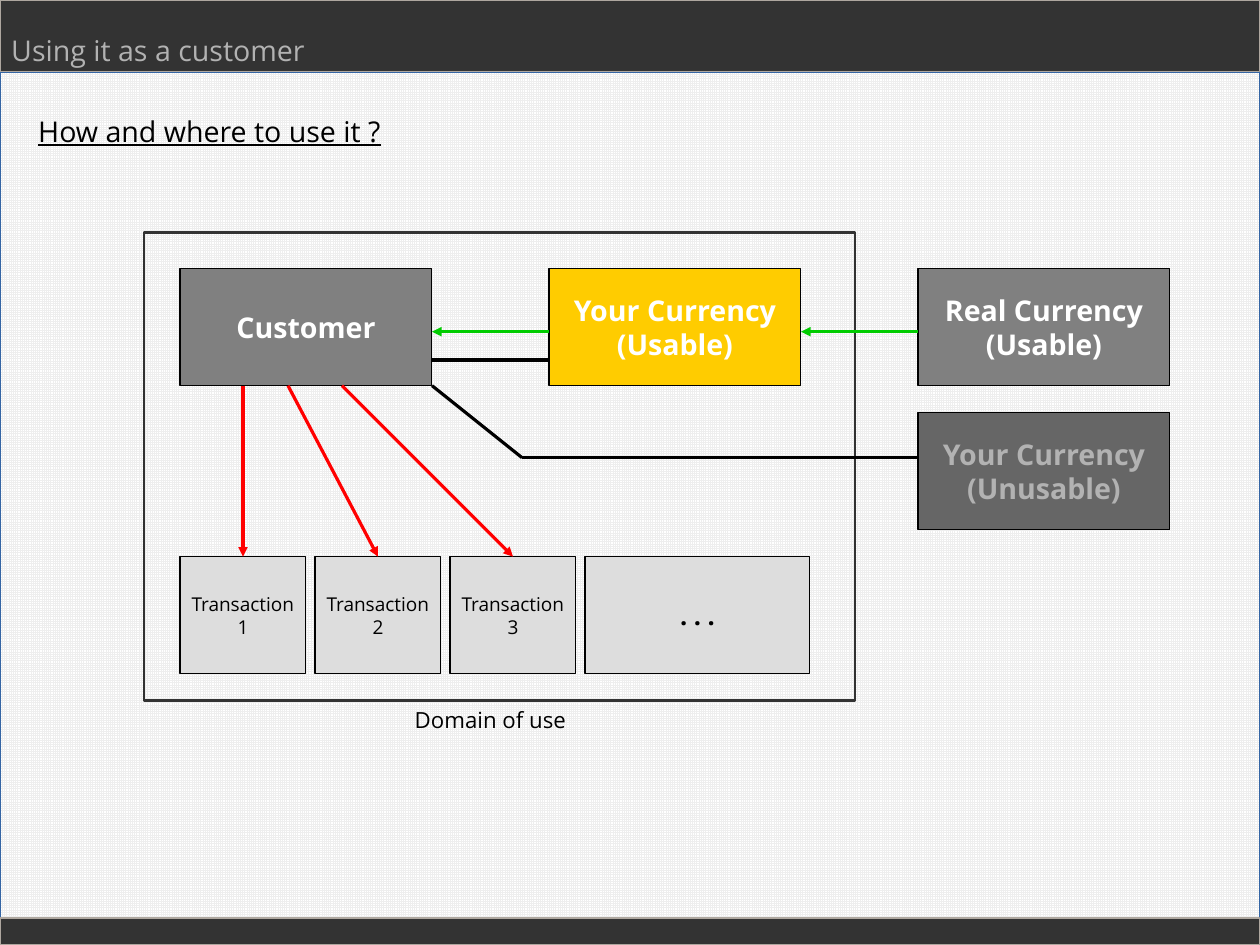
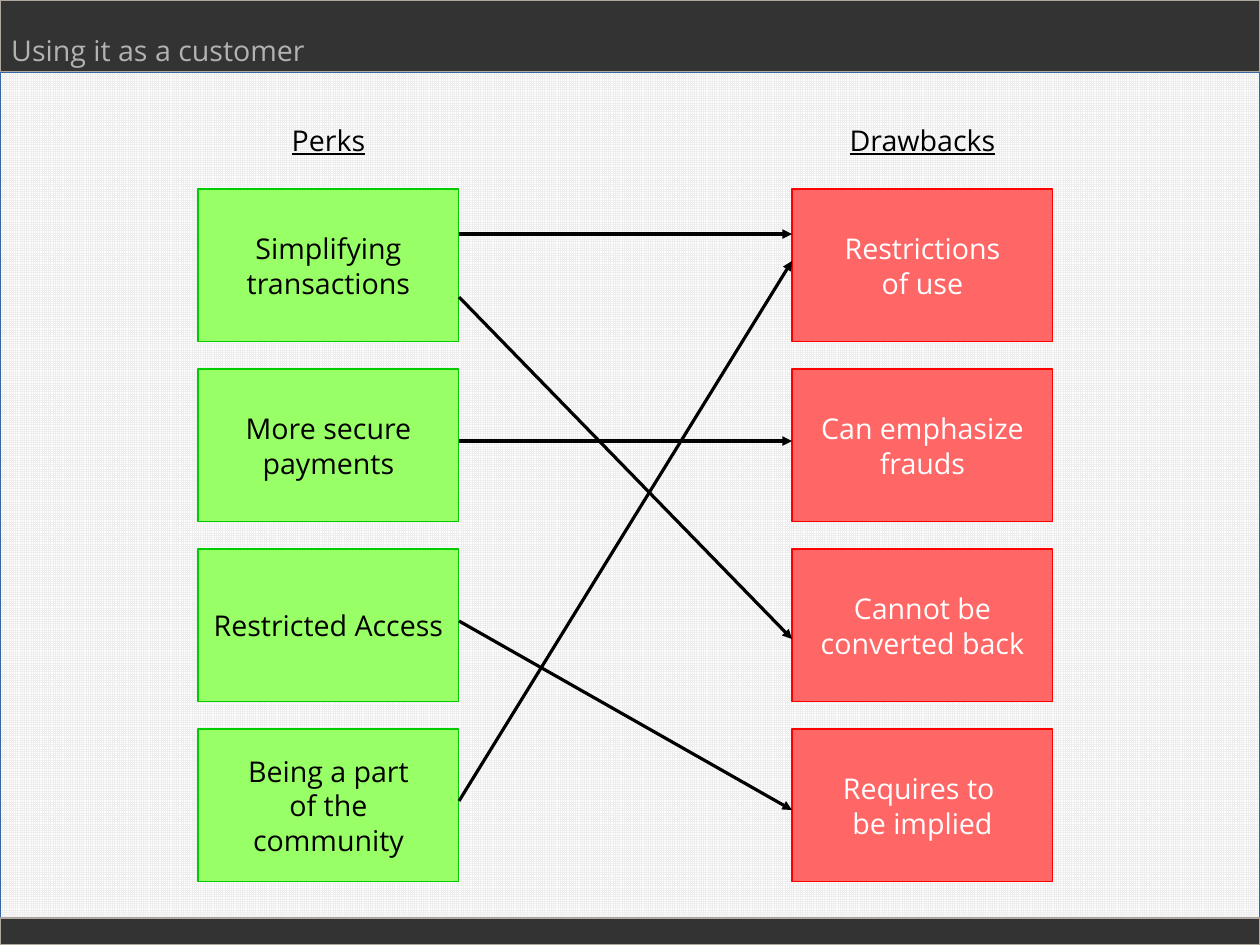
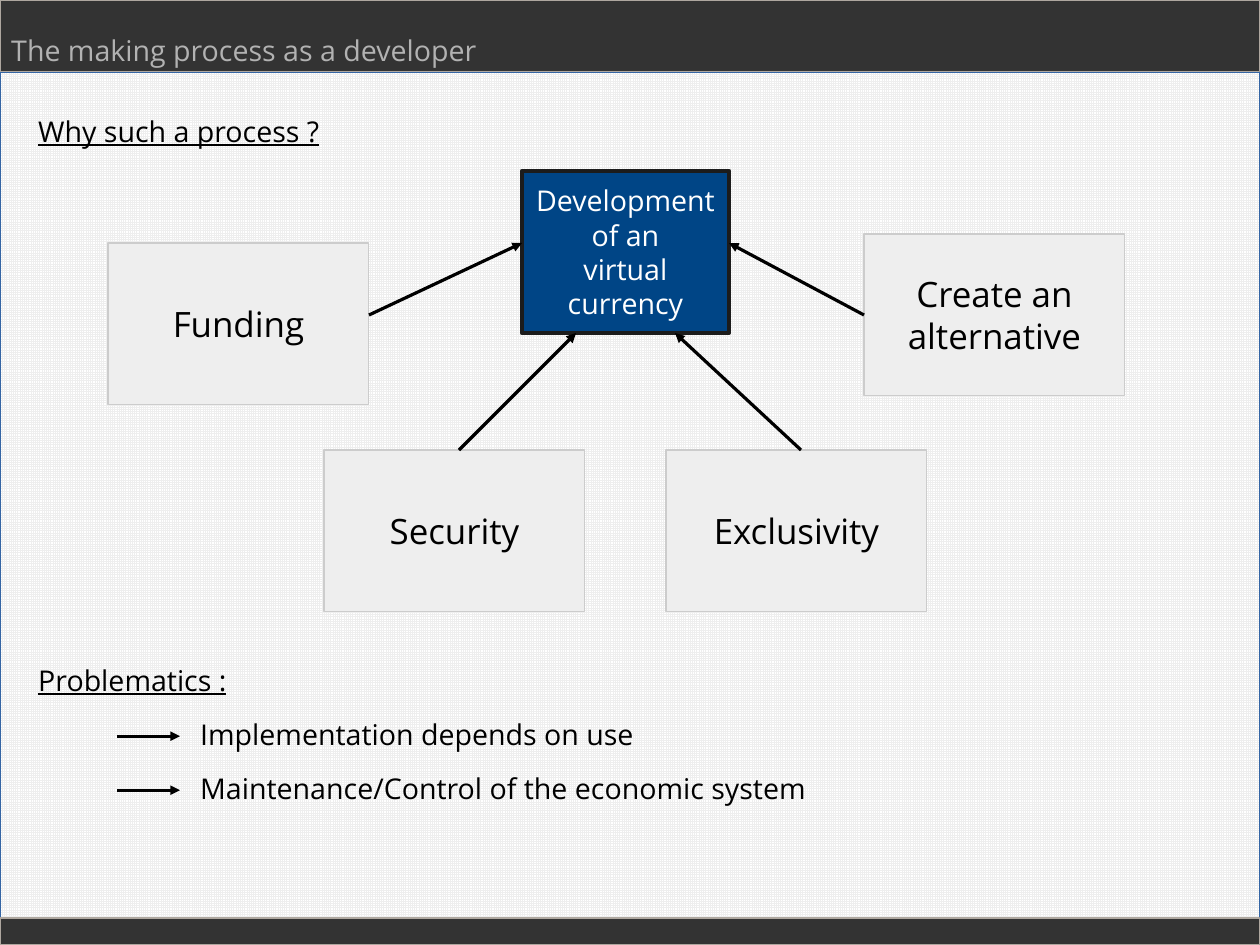
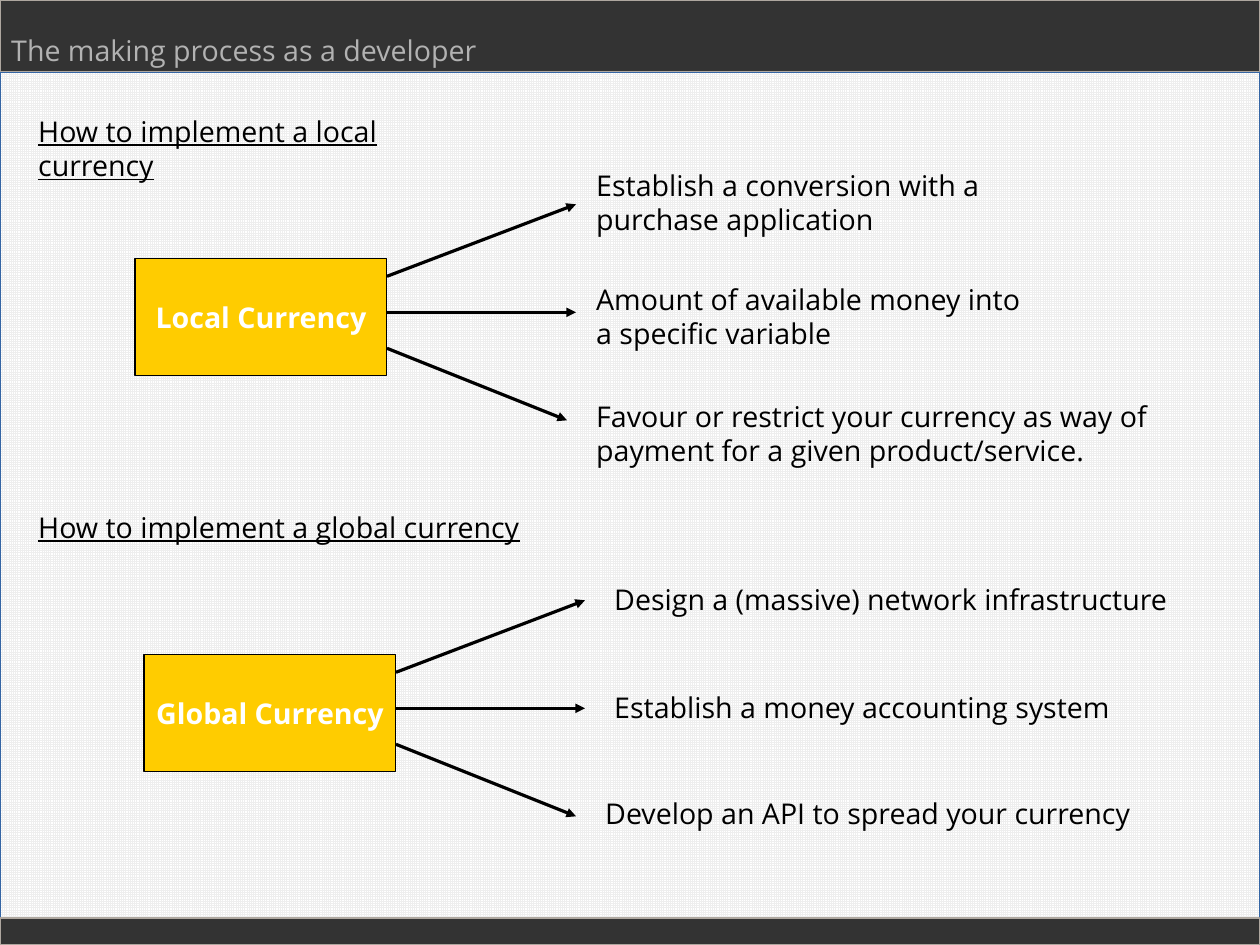
from dataclasses import dataclass
from typing import Any

from lxml import etree
from pptx import Presentation
from pptx import util as u
from pptx.dml.color import RGBColor
from pptx.enum import dml, shapes, text
from pptx.oxml import ns

COLS, ROWS = 140, 105
CELL = u.Mm(2)
FONT = "Open Sans"
LINE_HEIGHT = 5.6
COLORS = {
    "white": "FFFFFF", "black": "000000", "band": "333333", "band_edge": "AEA79F",
    "grid": "EEEEEE", "grid_edge": "3465A4", "muted": "B2B2B2",
    "gold": "FFCC00", "gray": "808080", "dark_gray": "666666", "light_gray": "DDDDDD",
    "perk": "99FF66", "green": "00CC00", "drawback": "FF6666", "red": "FF0000",
    "reason": "EEEEEE", "reason_edge": "CCCCCC", "core": "004586", "core_edge": "1C1C1C",
}
CURRENCY_SIZE = (28, 13)
IDEA_SIZE = (29, 17)
REASON_SIZE = (29, 18)


def rgb(name):
    return RGBColor.from_string(COLORS[name])


def cells(*counts):
    return [u.Emu(round(count * CELL)) for count in counts]


def write(frame, lines, size, color, bold=False, underline=False, align=None):
    for number, line in enumerate(lines):
        paragraph = frame.add_paragraph() if number else frame.paragraphs[0]
        paragraph.text = line
        paragraph.alignment = align
        font = paragraph.font
        font.name, font.size = FONT, u.Pt(size)
        font.bold, font.underline = bold, underline
        font.color.rgb = rgb(color)


@dataclass
class Region:
    slide: Any
    left: float = 0
    top: float = 0

    def at(self, left, top):
        return Region(self.slide, self.left + left, self.top + top)

    def rect(self, left, top, width, height, fill=None, edge="black", weight=0):
        shape = self.slide.shapes.add_shape(
            shapes.MSO_SHAPE.RECTANGLE,
            *cells(self.left + left, self.top + top, width, height))
        shape.shadow.inherit = False
        if fill:
            shape.fill.solid()
            shape.fill.fore_color.rgb = rgb(fill)
        else:
            shape.fill.background()
        shape.line.color.rgb = rgb(edge)
        shape.line.width = u.Pt(weight)
        return shape

    def box(self, left, top, size, lines, fill, edge="black", weight=0,
            points=18, color="black", bold=False):
        shape = self.rect(left, top, *size, fill, edge, weight)
        frame = shape.text_frame
        frame.word_wrap = False
        frame.vertical_anchor = text.MSO_ANCHOR.MIDDLE
        write(frame, lines, points, color, bold, align=text.PP_ALIGN.CENTER)
        return shape

    def label(self, left, top, width, words, points=18, color="black",
              underline=False, align=None):
        area = self.slide.shapes.add_textbox(
            *cells(self.left + left, self.top + top, width, LINE_HEIGHT))
        frame = area.text_frame
        frame.word_wrap = True
        frame.auto_size = text.MSO_AUTO_SIZE.SHAPE_TO_FIT_TEXT
        write(frame, [words], points, color, underline=underline, align=align)

    def heading(self, left, top, width, words, align=None):
        self.label(left, top, width, words, underline=True, align=align)

    def link(self, start, end, color="black", arrow=True):
        line = self.slide.shapes.add_connector(
            shapes.MSO_CONNECTOR.STRAIGHT,
            *cells(self.left + start[0], self.top + start[1],
                   self.left + end[0], self.top + end[1]))
        line.line.color.rgb = rgb(color)
        line.line.width = u.Pt(0)
        if arrow:
            etree.SubElement(line.line._get_or_add_ln(), ns.qn("a:tailEnd"), type="triangle")
        etree.SubElement(line._element.spPr, ns.qn("a:effectLst"))
        return line


def add_page(deck, title):
    page = Region(deck.slides.add_slide(deck.slide_layouts[6]))
    backdrop = page.rect(0, 8, COLS, 94, "white", "grid_edge")
    backdrop.fill.patterned()
    backdrop.fill.pattern = dml.MSO_PATTERN.SMALL_GRID
    backdrop.fill.fore_color.rgb = rgb("grid")
    backdrop.fill.back_color.rgb = rgb("white")
    for top, height in ((0, 8), (102, 3)):
        page.rect(0, top, COLS, height, "band", "band_edge")
    page.label(0, 3, 55, title, color="muted")
    return page


def draw_domain(domain):
    for left, top, lines, fill, color in (
        (45, 4, ["Your Currency", "(Usable)"], "gold", "white"),
        (4, 4, ["Customer"], "gray", "white"),
        (86, 20, ["Your Currency", "(Unusable)"], "dark_gray", "muted"),
        (86, 4, ["Real Currency", "(Usable)"], "gray", "white"),
    ):
        domain.box(left, top, CURRENCY_SIZE, lines, fill, color=color, bold=True)
    domain.rect(0, 0, 79, 52, edge="band", weight=1.42)
    domain.label(27, 52, 23, "Domain of use", 14, align=text.PP_ALIGN.CENTER)

    for index, start in enumerate((11, 16, 22)):
        left = 4 + 15 * index
        transaction = domain.box(left, 36, (14, 13), ["Transaction", str(index + 1)],
                                 "light_gray", points=12)
        payment = domain.link((start, 17), (left + 7, 36), "red")
        payment.end_connect(transaction, 0)
    domain.box(49, 36, (25, 13), [". . ."], "light_gray", points=16, bold=True)

    for start, end in ((86, 73), (45, 32)):
        domain.link((start, 11), (end, 11), "green")
    for start, end in (((32, 17), (42, 25)), ((42, 25), (86, 25)),
                       ((32, 14.15), (45, 14.15))):
        domain.link(start, end, arrow=False)


def draw_ideas(column, title, ideas, fill, edge, color):
    column.heading(0, 0, IDEA_SIZE[0], title, text.PP_ALIGN.CENTER)
    for index, lines in enumerate(ideas):
        column.box(0, 8 + 20 * index, IDEA_SIZE, lines, fill, edge, color=color)


def draw_reasons(diagram):
    diagram.box(46, 0, (23, 18), ["Development", "of an", "virtual", "currency"],
                "core", "core_edge", 2.83, color="white")
    reasons = [
        diagram.box(left, top, REASON_SIZE, lines, "reason", "reason_edge", points=22)
        for left, top, lines in (
            (0, 8, ["Funding"]), (24, 31, ["Security"]),
            (62, 31, ["Exclusivity"]), (84, 7, ["Create an", "alternative"]))
    ]
    links = [
        diagram.link(start, end) for start, end in (
            ((29, 16), (46, 8)), ((39, 31), (52, 18)),
            ((77, 31), (63, 18)), ((84, 16), (69, 8)))
    ]
    links[-1].begin_connect(reasons[-1], 1)


def draw_problems(section, title, problems):
    section.heading(0, 0, 44, title)
    for index, (width, problem) in enumerate(problems):
        top = 6 + 6 * index
        middle = top + LINE_HEIGHT / 2
        section.link((10, middle), (17, middle))
        section.label(18, top, width, problem)


def draw_steps(source, name, steps):
    source.box(0, 0, CURRENCY_SIZE, [name], "gold", color="white", bold=True)
    for index, (left, top, width, step) in enumerate(steps):
        source.link((28, 2 + 4 * index), (48 if index == 2 else 49, -6 + 12 * index))
        source.label(left, top, width, step)


def add_usage(deck):
    page = add_page(deck, "Using it as a customer")
    page.heading(3, 12, 44, "How and where to use it ?")
    draw_domain(page.at(16, 25.85))


def add_comparison(deck):
    page = add_page(deck, "Using it as a customer")
    draw_ideas(page.at(22, 13), "Perks", [
        ["Simplifying", "transactions"],
        ["More secure", "payments"],
        ["Restricted Access"],
        ["Being a part", "of the", "community"],
    ], "perk", "green", "black")
    draw_ideas(page.at(88, 13), "Drawbacks", [
        ["Restrictions", "of use"],
        ["Can emphasize", "frauds"],
        ["Cannot be", "converted back"],
        ["Requires to ", "be implied"],
    ], "drawback", "red", "white")
    for perk_row, drawback_row in ((49, 49), (89, 29), (33, 71), (69, 90), (26, 26)):
        page.link((51, perk_row), (88, drawback_row))


def add_motives(deck):
    page = add_page(deck, "The making process as a developer")
    page.heading(3, 12, 44, "Why such a process ?")
    draw_reasons(page.at(12, 19))
    draw_problems(page.at(3, 73), "Problematics :", [
        (81, "Implementation depends on use"),
        (71, "Maintenance/Control of the economic system"),
    ])


def add_implementation(deck):
    page = add_page(deck, "The making process as a developer")
    page.heading(3, 12, 53, "How to implement a local currency")
    draw_steps(page.at(15, 28.7), "Local Currency", [
        (50, -10.7, 52, "Establish a conversion with a purchase application"),
        (50, 2, 52, "Amount of available money into a specific variable"),
        (50, 15, 67, "Favour or restrict your currency as way of payment "
                     "for a given product/service."),
    ])
    page.heading(3, 56, 56, "How to implement a global currency")
    draw_steps(page.at(16, 72.7), "Global Currency", [
        (51, -8.7, 66, "Design a (massive) network infrastructure"),
        (51, 3.3, 61, "Establish a money accounting system"),
        (50, 15.1, 69, "Develop an API to spread your currency"),
    ])


def main():
    deck = Presentation()
    deck.slide_width, deck.slide_height = cells(COLS, ROWS)
    for add_slide in (add_usage, add_comparison, add_motives, add_implementation):
        add_slide(deck)
    deck.save("out.pptx")


if __name__ == "__main__":
    main()
